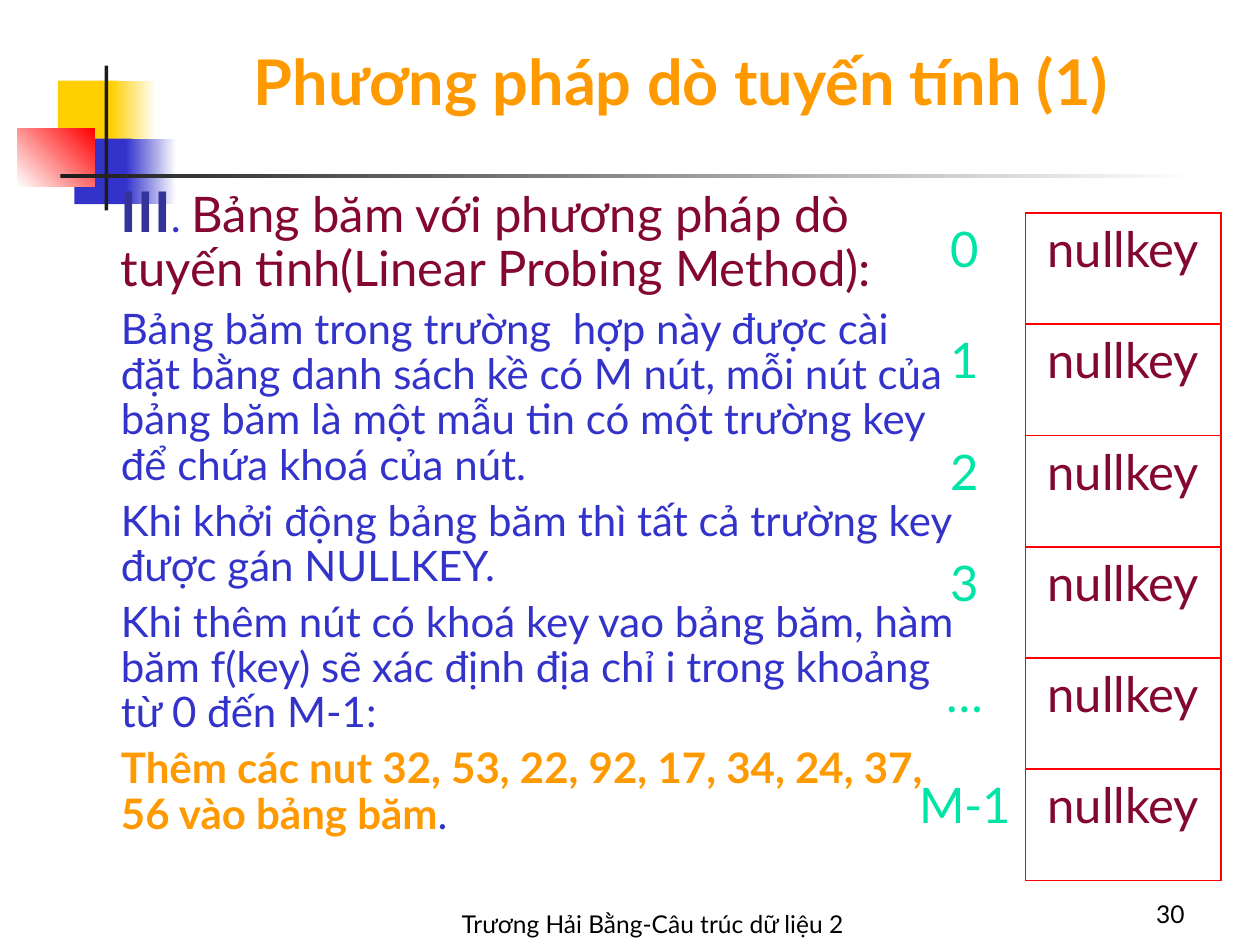
from lxml.etree import SubElement
from pptx import Presentation
from pptx.dml.color import RGBColor
from pptx.enum.shapes import MSO_SHAPE as Shape
from pptx.enum.text import MSO_ANCHOR as Anchor, MSO_AUTO_SIZE as AutoSize, PP_ALIGN as Align
from pptx.oxml.ns import qn
from pptx.util import Inches, Pt

FONT = "Lato"
BLACK, WHITE, CHARCOAL = "000000", "FFFFFF", "1C1C1C"
ORANGE, YELLOW, RED = "FF9900", "FFCF01", "FF0000"
BLUE, NAVY, MAROON, MINT = "3333CC", "333399", "830730", "00E4A8"

DECORATION = [
    (0.46, 0.64, 0.48, 0.52, (YELLOW,), 0),
    (0.88, 0.64, 0.36, 0.52, (YELLOW, WHITE), 0),
    (0.59, 1.1, 0.46, 0.52, (BLUE,), 0),
    (1, 1.1, 0.4, 0.52, (BLUE, WHITE), 0),
    (0.14, 1.02, 0.61, 0.46, (WHITE, RED), 45),
    (0.83, 0.52, 0.03, 1.15, (CHARCOAL,), 0),
    (0.48, 1.38, 9, 0.03, (CHARCOAL, WHITE), 0),
]
EXPLANATION = [
    "Bảng băm trong trường  hợp này được cài đặt bằng danh sách kề có M nút, mỗi nút của "
    "bảng băm là một mẫu tin có một trường key để chứa khoá của nút.",
    "Khi khởi động bảng băm thì tất cả trường key được gán NULLKEY.",
    "Khi thêm nút có khoá key vao bảng băm, hàm băm f(key) sẽ xác định địa chỉ i trong khoảng "
    "từ 0 đến M-1:",
]
ADDRESSES = ["0", "1", "2", "3", "…", "M-1"]


def rgb(hex_color):
    return RGBColor.from_string(hex_color)


def write(paragraph, text, size=24, color=BLUE, bold=False, align=None, before=None):
    run = paragraph.add_run()
    run.text = text
    run.font.name = FONT
    run.font.size = Pt(size)
    run.font.bold = bold
    run.font.color.rgb = rgb(color)
    if align is not None:
        paragraph.alignment = align
    if before is not None:
        paragraph.space_before = Pt(before)


def place(shape, left, top, width, height):
    shape.left, shape.top = Inches(left), Inches(top)
    shape.width, shape.height = Inches(width), Inches(height)


def add_block(slide, left, top, width, height, colors, angle):
    block = slide.shapes.add_shape(
        Shape.RECTANGLE, Inches(left), Inches(top), Inches(width), Inches(height))
    block.shadow.inherit = False
    block.line.fill.background()
    if len(colors) == 1:
        block.fill.solid()
        block.fill.fore_color.rgb = rgb(colors[0])
    else:
        block.fill.gradient()
        block.fill.gradient_angle = angle
        for stop, color in zip(block.fill.gradient_stops, colors):
            stop.color.rgb = rgb(color)


def add_decoration(slide, left, top):
    for x, y, width, height, colors, angle in DECORATION:
        add_block(slide, left + x, top + y, width, height, colors, angle)


def fill_title(title, *box):
    place(title, *box)
    frame = title.text_frame
    frame.auto_size = AutoSize.NONE
    frame.vertical_anchor = Anchor.BOTTOM
    write(frame.paragraphs[0], "Phương pháp dò tuyến tính (1)",
          size=36, color=ORANGE, bold=True, align=Align.CENTER)


def add_plain_paragraph(frame):
    paragraph = frame.add_paragraph() if frame.text else frame.paragraphs[0]
    paragraph.line_spacing = 0.9
    properties = paragraph._p.get_or_add_pPr()
    properties.set("marL", "0")
    properties.set("indent", "0")
    SubElement(properties, qn("a:buNone"))
    return paragraph


def fill_body(body, *box):
    place(body, *box)
    frame = body.text_frame
    frame.auto_size = AutoSize.NONE
    frame.vertical_anchor = Anchor.TOP
    heading = add_plain_paragraph(frame)
    write(heading, "III", size=32, color=NAVY, bold=True, before=7)
    write(heading, ". ")
    write(heading, "Bảng băm với phương pháp dò tuyến tinh(Linear Probing Method):",
          size=28, color=MAROON)
    for sentence in EXPLANATION:
        write(add_plain_paragraph(frame), sentence, before=6)
    exercise = add_plain_paragraph(frame)
    write(exercise, "Thêm các nut 32, 53, 22, 92, 17, 34, 24, 37, 56 vào bảng băm",
          color=ORANGE, bold=True, before=6)
    write(exercise, ".")


def set_borders(cell, drawn_sides, color):
    properties = cell._tc.get_or_add_tcPr()
    for side in "LRTB":
        line = SubElement(properties, qn(f"a:ln{side}"), w=str(Pt(1.08)))
        if side in drawn_sides:
            SubElement(SubElement(line, qn("a:solidFill")), qn("a:srgbClr"), val=color)
        else:
            SubElement(line, qn("a:noFill"))


def add_hash_table(slide, left, top, width, height):
    table = slide.shapes.add_table(
        len(ADDRESSES), 2, Inches(left), Inches(top), Inches(width), Inches(height)).table
    table.first_row = table.horz_banding = False
    address_width = 0.96
    table.columns[0].width = Inches(address_width)
    table.columns[1].width = Inches(width - address_width)
    for row, address in enumerate(ADDRESSES):
        for column, (text, color, sides) in enumerate(
                [(address, MINT, "R"), ("nullkey", MAROON, "LRTB")]):
            cell = table.cell(row, column)
            set_borders(cell, sides, RED)
            cell.fill.background()
            write(cell.text_frame.paragraphs[0], text,
                  size=28, color=color, align=Align.CENTER, before=7)


def add_footer(slide, text, align, left, top, width, height):
    footer = slide.shapes.add_textbox(Inches(left), Inches(top), Inches(width), Inches(height))
    frame = footer.text_frame
    frame.word_wrap = True
    frame.vertical_anchor = Anchor.BOTTOM
    write(frame.paragraphs[0], text, size=14, color=BLACK, align=align)


def main():
    deck = Presentation()
    deck.slide_width, deck.slide_height = Inches(10), Inches(7.5)
    slide = deck.slides.add_slide(deck.slide_layouts[1])
    title, body = slide.placeholders
    add_decoration(slide, 0, 0)
    add_footer(slide, "Trương Hải Bằng-Câu trúc dữ liệu 2", Align.CENTER, 3.12, 6.92, 4.12, 0.58)
    add_footer(slide, "30", Align.RIGHT, 7.42, 6.92, 2.08, 0.5)
    for placeholder in (title, body):
        placeholder.element.getparent().append(placeholder.element)
    fill_title(title, 0.81, 0, 9.19, 0.99)
    fill_body(body, 0.86, 1.41, 6.82, 5.3)
    add_hash_table(slide, 7.18, 1.69, 2.51, 5.3)
    deck.save("out.pptx")


if __name__ == "__main__":
    main()
